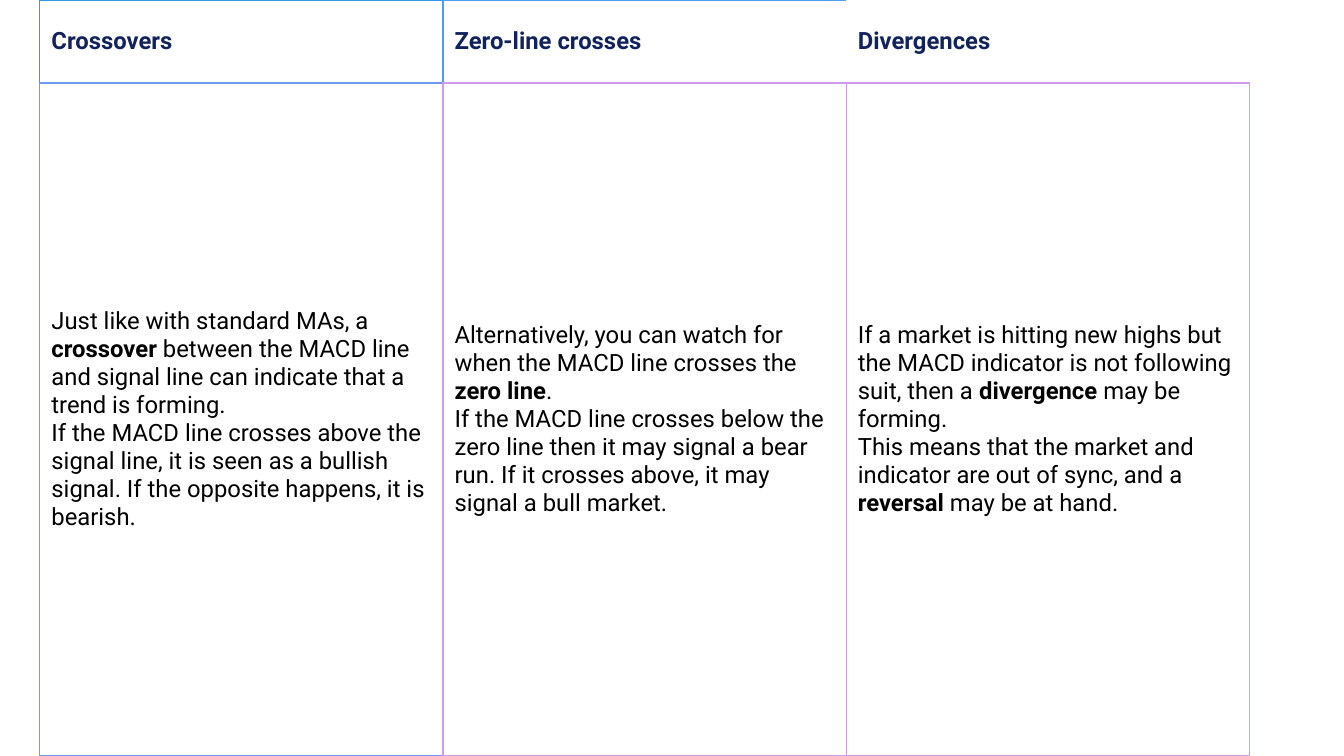
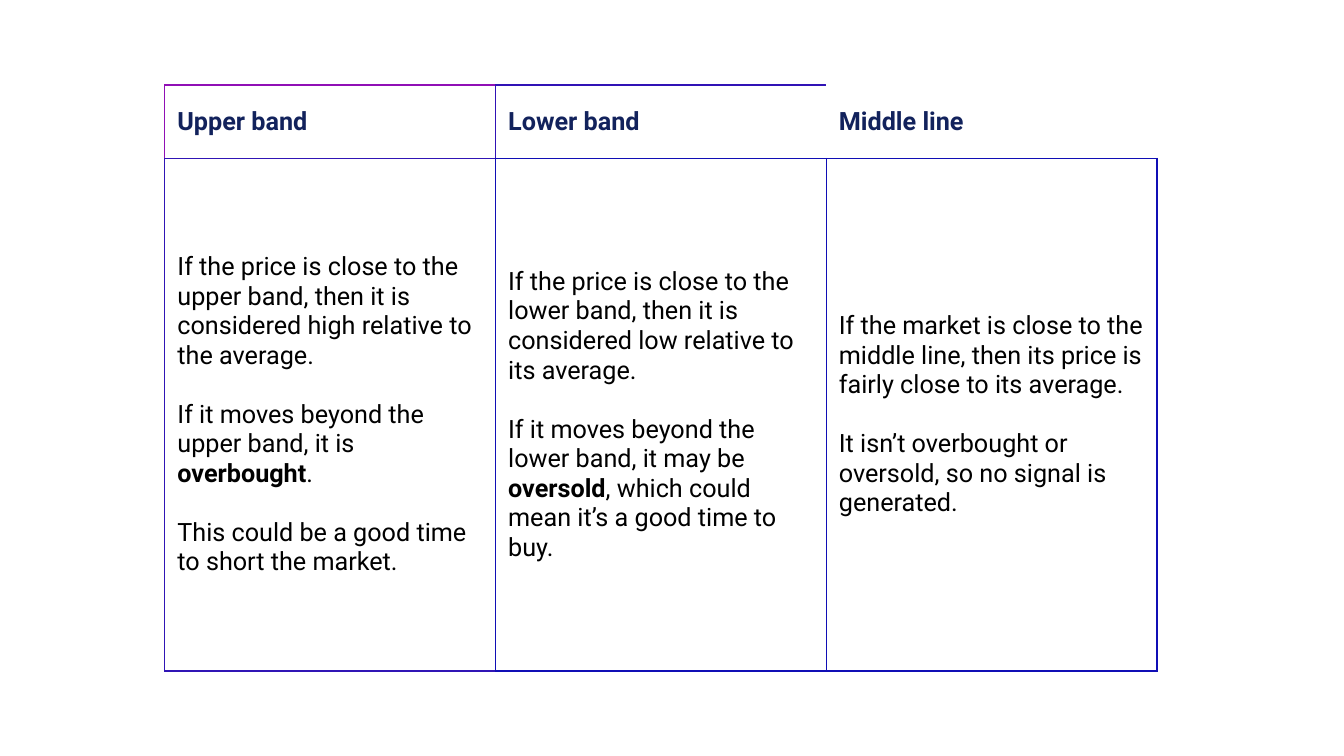
from dataclasses import dataclass
from itertools import product

from lxml import etree
from pptx import Presentation, util as u
from pptx.dml.color import RGBColor
from pptx.enum import text
from pptx.oxml import ns

PX = 9525
SLIDE_SIZE = (1280, 720)
FONT = "Roboto"
BORDER_WIDTH = u.Pt(1)
WHITE = RGBColor(0xFF, 0xFF, 0xFF)
BLACK = RGBColor(0x00, 0x00, 0x00)
NAVY = RGBColor(0x12, 0x22, 0x5C)
BOLD_MARK = "**"

BORDER_SIDES = ("L", "R", "T", "B")
BORDER_ROLES = {
    (0, 0): ("start", "second", "start", "third"),
    (0, 1): ("second", "none", "second", "base"),
    (0, 2): ("none", "none", "none", "base"),
    (1, 0): ("third", "base", "third", "third"),
    (1, 1): ("base", "base", "base", "base"),
    (1, 2): ("base", "base", "base", "base"),
}


@dataclass(frozen=True)
class Column:
    heading: str
    paragraphs: tuple[str, ...]


@dataclass(frozen=True)
class SignalTable:
    left: int
    top: int
    column_width: int
    row_heights: tuple[int, int]
    padding: int
    font_size: int
    paragraph_gap: int
    borders: dict[str, RGBColor]
    columns: tuple[Column, ...]


MACD_TABLE = SignalTable(
    left=38,
    top=0,
    column_width=384,
    row_heights=(79, 641),
    padding=11,
    font_size=17,
    paragraph_gap=0,
    borders={
        "start": RGBColor(0x30, 0x99, 0xEF),
        "second": RGBColor(0x50, 0x9F, 0xEF),
        "third": RGBColor(0x70, 0x99, 0xEF),
        "base": RGBColor(0xD0, 0x9B, 0xEF),
        "none": WHITE,
    },
    columns=(
        Column("Crossovers", (
            "Just like with standard MAs, a **crossover **between the MACD line "
            "and signal line can indicate that a trend is forming.",
            "If the MACD line crosses above the signal line, it is seen as a "
            "bullish signal. If the opposite happens, it is bearish.",
        )),
        Column("Zero-line crosses", (
            "Alternatively, you can watch for when the MACD line crosses "
            "the **zero line**.",
            "If the MACD line crosses below the zero line then it may signal a "
            "bear run. If it crosses above, it may signal a bull market.",
        )),
        Column("Divergences", (
            "If a market is hitting new highs but the MACD indicator is not "
            "following suit, then a **divergence** may be forming.",
            "This means that the market and indicator are out of sync, and "
            "a **reversal **may be at hand.",
        )),
    ),
)

BANDS_TABLE = SignalTable(
    left=157,
    top=81,
    column_width=315,
    row_heights=(70, 488),
    padding=12,
    font_size=18,
    paragraph_gap=21,
    borders={
        "start": RGBColor(0x90, 0x0F, 0xB5),
        "second": RGBColor(0x30, 0x12, 0xB5),
        "third": RGBColor(0x30, 0x15, 0xB5),
        "base": RGBColor(0x10, 0x0E, 0xB5),
        "none": WHITE,
    },
    columns=(
        Column("Upper band", (
            "If the price is close to the upper band, then it is considered "
            "high relative to the average.",
            "If it moves beyond the upper band, it is **overbought**.",
            "This could be a good time to short the market.",
        )),
        Column("Lower band", (
            "If the price is close to the lower band, then it is considered "
            "low relative to its average.",
            "If it moves beyond the lower band, it may be **oversold**, which "
            "could mean it’s a good time to buy.",
        )),
        Column("Middle line", (
            "If the market is close to the middle line, then its price is "
            "fairly close to its average.",
            "It isn’t overbought or oversold, so no signal is generated.",
        )),
    ),
)


def px(length: int) -> u.Emu:
    return u.Emu(length * PX)


def apply_format(target: object, values: dict[str, object]) -> None:
    for name, value in values.items():
        setattr(target, name, value)


def set_border(cell, side: str, color: RGBColor) -> None:
    properties = cell._tc.get_or_add_tcPr()
    line = etree.SubElement(properties, ns.qn(f"a:ln{side}"), w=str(BORDER_WIDTH))
    fill = etree.SubElement(line, ns.qn("a:solidFill"))
    etree.SubElement(fill, ns.qn("a:srgbClr"), val=str(color))


def write_cell(cell, paragraphs: tuple[str, ...], color: RGBColor,
               heading: bool, design: SignalTable) -> None:
    for index, content in enumerate(paragraphs):
        frame = cell.text_frame
        paragraph = frame.add_paragraph() if index else frame.paragraphs[0]
        paragraph.space_before = u.Pt(design.paragraph_gap if index else 0)
        for part_number, part in enumerate(content.split(BOLD_MARK)):
            run = paragraph.add_run()
            run.text = part
            apply_format(run.font, {
                "name": FONT,
                "size": u.Pt(design.font_size),
                "bold": heading or part_number % 2 == 1,
            })
            run.font.color.rgb = color


def draw_table(slide, design: SignalTable) -> None:
    row_count, column_count = len(design.row_heights), len(design.columns)
    table = slide.shapes.add_table(
        row_count, column_count, px(design.left), px(design.top),
        px(design.column_width * column_count), px(sum(design.row_heights)),
    ).table
    apply_format(table, {"first_row": False, "horz_banding": False})
    for row, height in zip(table.rows, design.row_heights):
        row.height = px(height)
    for table_column in table.columns:
        table_column.width = px(design.column_width)

    margins = ("margin_left", "margin_right", "margin_top", "margin_bottom")
    cell_format = dict.fromkeys(margins, px(design.padding))
    cell_format["vertical_anchor"] = text.MSO_ANCHOR.MIDDLE
    for row_index, column_index in product(range(row_count), range(column_count)):
        cell = table.cell(row_index, column_index)
        column = design.columns[column_index]
        apply_format(cell, cell_format)
        for side, role in zip(BORDER_SIDES, BORDER_ROLES[row_index, column_index]):
            set_border(cell, side, design.borders[role])
        cell.fill.solid()
        cell.fill.fore_color.rgb = WHITE
        if row_index == 0:
            write_cell(cell, (column.heading,), NAVY, True, design)
        else:
            write_cell(cell, column.paragraphs, BLACK, False, design)


def main() -> None:
    presentation = Presentation()
    width, height = SLIDE_SIZE
    apply_format(presentation, {"slide_width": px(width), "slide_height": px(height)})
    for design in (MACD_TABLE, BANDS_TABLE):
        slide = presentation.slides.add_slide(presentation.slide_layouts[6])
        draw_table(slide, design)
    presentation.save("out.pptx")


if __name__ == "__main__":
    main()
